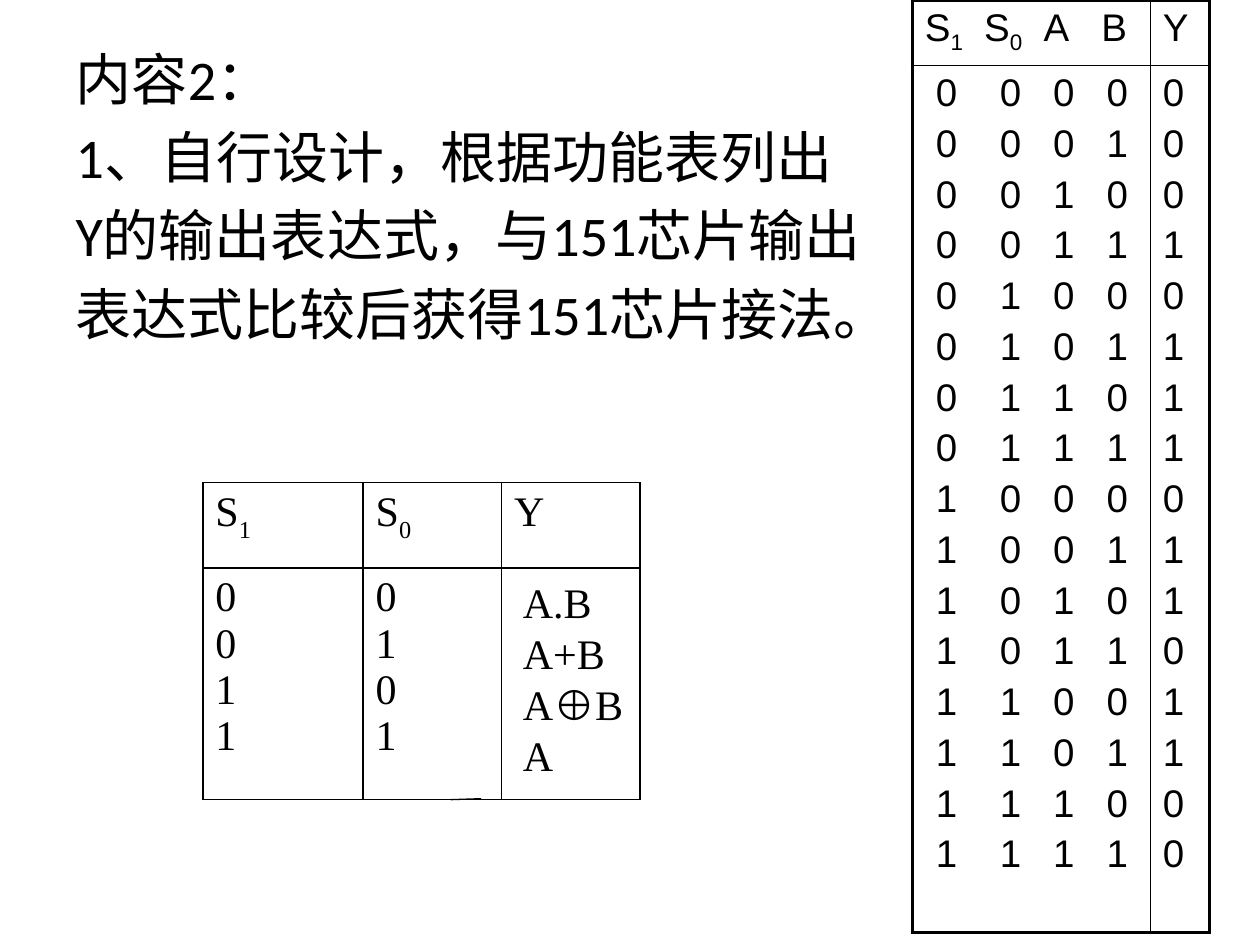
from itertools import product

from lxml.etree import SubElement
from pptx import Presentation
from pptx.dml.color import RGBColor
from pptx.enum.shapes import MSO_CONNECTOR
from pptx.enum.text import MSO_ANCHOR, MSO_AUTO_SIZE
from pptx.oxml.ns import qn
from pptx.util import Cm, Pt

INK = "000000"
TASK = [
    "内容2：",
    "1、自行设计，根据功能表列出",
    "Y的输出表达式，与151芯片输出",
    "表达式比较后获得151芯片接法。",
]
# A paragraph is a string or a list of (text, baseline percent, tracking pt).
NEAR, MID, FAR = [(" ", 0, 6.1 * n) for n in (1, 2, 3)]
TRUTH_HEAD = [("S", 0, 0), ("1", -25, 0), NEAR, ("S", 0, 0), ("0", -25, 0),
              NEAR, ("A", 0, 0), MID, ("B", 0, 0)]
TRUTH_ROWS = [[(s1, 0, 0), FAR, (s0, 0, 0), MID, (a, 0, 0), MID, (b, 0, 0)]
              for s1, s0, a, b in product("01", repeat=4)]
TRUTH_OUT = "0001011101101100"
TRUTH = [[[TRUTH_HEAD], ["Y"]], [TRUTH_ROWS, list(TRUTH_OUT)]]

MODES = [
    [[[("S", 0, 0), ("1", -30, 0)]], [[("S", 0, 0), ("0", -30, 0)]], ["Y"]],
    [list("0011"), list("0101"), []],
]
OUTPUTS = ["A.B", "A+B", "A⊕B", "A"]


def color(code):
    return RGBColor.from_string(code)


def write(frame, paras, face, size, gap=0, left=0):
    """Fill a text frame, with gap points between paragraphs."""
    for i, runs in enumerate(paras):
        para = frame.paragraphs[0] if i == 0 else frame.add_paragraph()
        props = para._p.get_or_add_pPr()
        props.set("marL", str(Cm(left)))
        props.set("indent", "0")
        para.space_before = Pt(gap if i else 0)
        SubElement(props, qn("a:buNone"))
        if isinstance(runs, str):
            runs = [(runs, 0, 0)]
        for text, base, track in runs:
            run = para.add_run()
            run.text = text
            run.font.name = face
            run.font.size = Pt(size)
            run.font.color.rgb = color(INK)
            props = run._r.get_or_add_rPr()
            if base:
                props.set("baseline", str(base * 1000))
            if track:
                props.set("spc", str(round(track * 100)))


def border(cell, side, width):
    line = SubElement(cell._tc.get_or_add_tcPr(), qn("a:ln" + side),
                      w=str(Pt(width)))
    fill = SubElement(line, qn("a:solidFill"))
    SubElement(fill, qn("a:srgbClr"), val=INK)


def add_grid(slide, left, top, widths, heights, outer):
    """Add an unfilled table with 1 pt inner lines and the given outer line."""
    table = slide.shapes.add_table(
        len(heights), len(widths), Cm(left), Cm(top),
        Cm(sum(widths)), Cm(sum(heights))).table
    table.first_row = table.horz_banding = False
    for col, width in zip(table.columns, widths):
        col.width = Cm(width)
    for row, height in zip(table.rows, heights):
        row.height = Cm(height)
    last_row, last_col = len(heights) - 1, len(widths) - 1
    for r, c in product(range(len(heights)), range(len(widths))):
        cell = table.cell(r, c)
        edges = {"L": c == 0, "R": c == last_col,
                 "T": r == 0, "B": r == last_row}
        for side, edge in edges.items():
            border(cell, side, outer if edge else 1)
        cell.fill.background()
    return table


def main():
    prs = Presentation()
    prs.slide_width, prs.slide_height = Cm(25.4), Cm(19.05)
    slide = prs.slides.add_slide(prs.slide_layouts[1])
    title, body = slide.placeholders
    title._element.getparent().remove(title._element)

    body.left, body.top = Cm(1.27), Cm(0.76)
    body.width, body.height = Cm(22.86), Cm(16.26)
    body.text_frame.auto_size = MSO_AUTO_SIZE.NONE
    body.text_frame.vertical_anchor = MSO_ANCHOR.TOP
    write(body.text_frame, TASK, "Calibri", 32, gap=6.4)

    truth = add_grid(slide, 18.39, 0, [4.8, 1.19], [1.32, 17.48], 2.25)
    for r, row in enumerate(TRUTH):
        for c, paras in enumerate(row):
            left = 0.22 if paras is TRUTH_ROWS else 0
            write(truth.cell(r, c).text_frame, paras, "Arial", 22, 4.4, left)

    box = slide.shapes.add_textbox(Cm(10.29), Cm(11.5), Cm(2.59), Cm(3.1))
    box.text_frame.word_wrap = True
    write(box.text_frame, OUTPUTS, "Times New Roman", 24, gap=0.3)

    bar = slide.shapes.add_connector(
        MSO_CONNECTOR.STRAIGHT, Cm(9.7), Cm(16.1), Cm(9.09), Cm(16.12))
    bar.line.color.rgb = color(INK)
    bar.line.width = Pt(0.75)
    SubElement(bar._element.spPr, qn("a:effectLst"))

    modes = add_grid(slide, 4.09, 9.73, [3.23, 2.79, 2.79], [1.72, 4.67], 1)
    for r, row in enumerate(MODES):
        for c, paras in enumerate(row):
            write(modes.cell(r, c).text_frame, paras, "Times New Roman", 24)

    prs.save("out.pptx")


if __name__ == "__main__":
    main()
